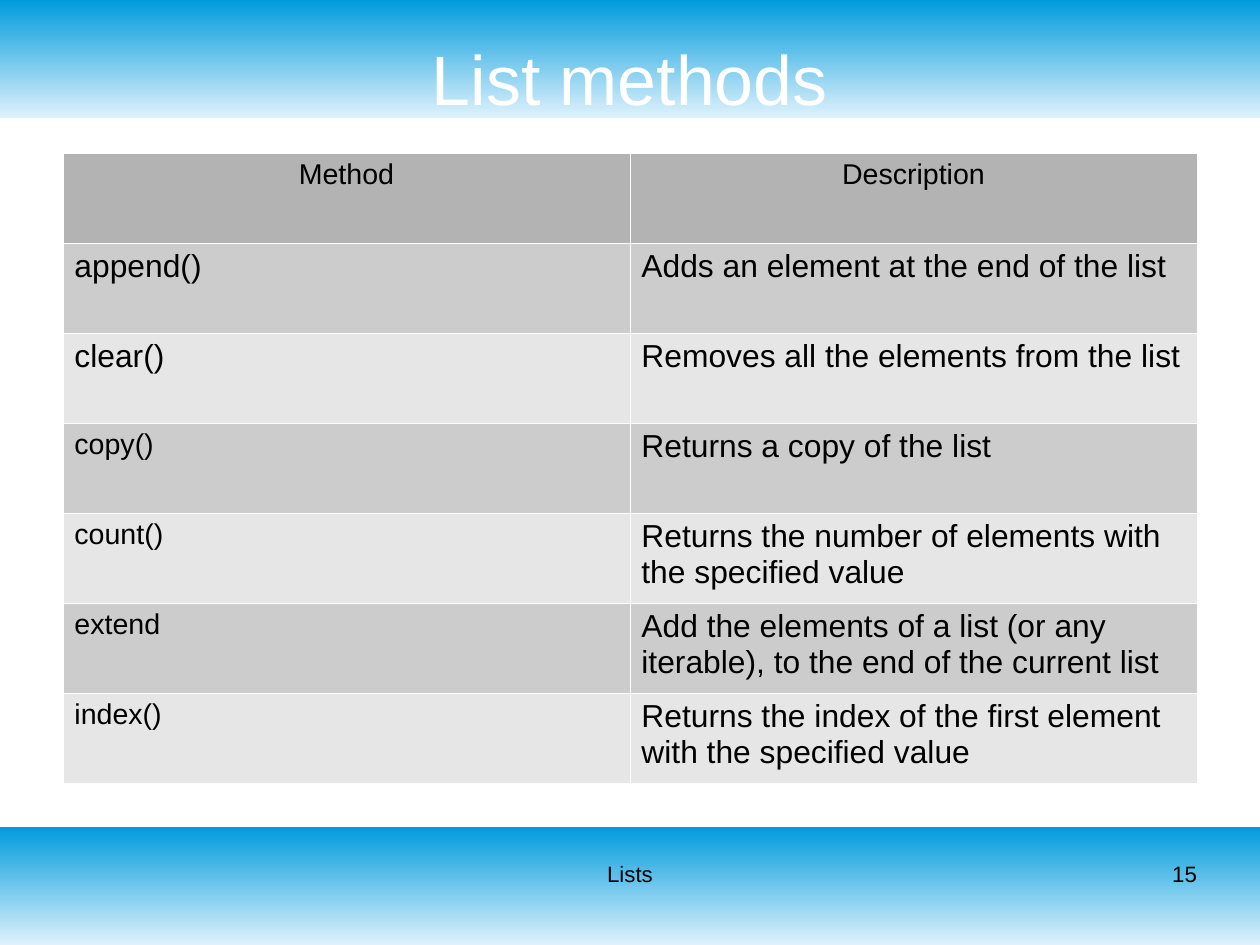
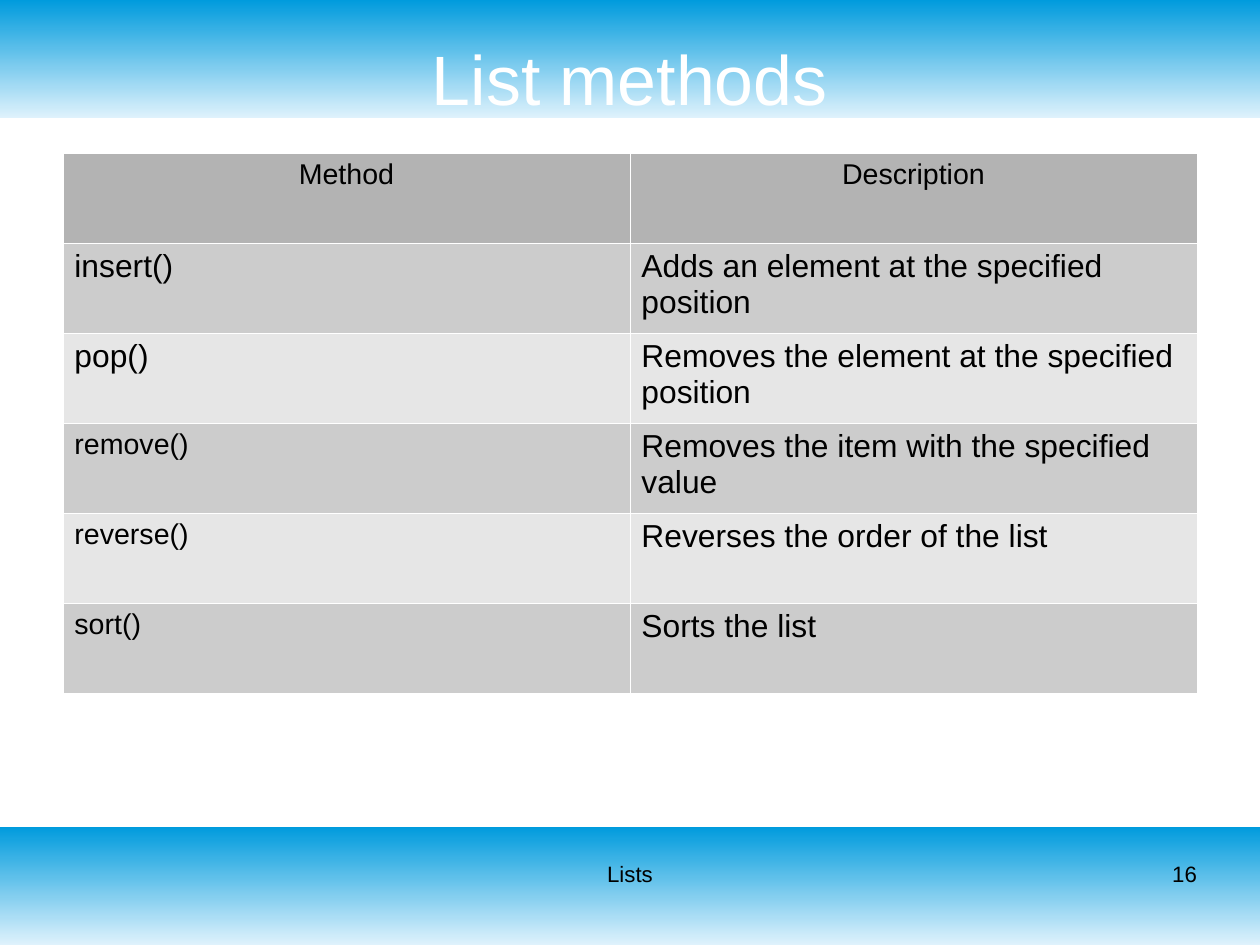
from dataclasses import dataclass

from lxml import etree
from pptx import Presentation
from pptx.dml.color import RGBColor
from pptx.enum.shapes import MSO_SHAPE
from pptx.enum.text import MSO_ANCHOR, MSO_AUTO_SIZE, PP_ALIGN
from pptx.oxml.ns import qn
from pptx.slide import Slide, SlideLayout
from pptx.table import _Cell
from pptx.text.text import TextFrame
from pptx.util import Cm, Inches, Pt

RECTANGLE = MSO_SHAPE.RECTANGLE
MIDDLE, TOP = MSO_ANCHOR.MIDDLE, MSO_ANCHOR.TOP
LEFT, CENTER, RIGHT = PP_ALIGN.LEFT, PP_ALIGN.CENTER, PP_ALIGN.RIGHT
FIT_SHAPE = MSO_AUTO_SIZE.SHAPE_TO_FIT_TEXT
TITLE_ONLY = 5

SLIDE_WIDTH, SLIDE_HEIGHT = Cm(28), Cm(21)
BAND_HEIGHT = SLIDE_HEIGHT // 8
MARGIN = SLIDE_WIDTH // 20
CONTENT_WIDTH = SLIDE_WIDTH - 2 * MARGIN
TITLE_TOP, TITLE_HEIGHT = Inches(0.33), Inches(0.7)
TABLE_TOP, ROW_HEIGHT = Inches(1.34), Cm(2)
FOOTER_TOP, FOOTER_HEIGHT = Inches(7.53), Inches(0.57)
FOOTER_WIDTH, NUMBER_WIDTH = Inches(3.49), Inches(2.57)


@dataclass(frozen=True)
class Theme:
    font: str = "Arial"
    title_size: int = 44
    body_size: int = 20
    small_size: int = 18
    footer_size: int = 14
    white: str = "FFFFFF"
    black: str = "000000"
    band_light: str = "DFF2FC"
    band_blue: str = "009BDD"
    header_fill: str = "B3B3B3"
    row_fills: tuple[str, str] = ("CCCCCC", "E6E6E6")
    border_width: float = 0.06


@dataclass(frozen=True)
class Method:
    name: str
    description: str


@dataclass(frozen=True)
class MethodSlide:
    number: int
    methods: tuple[Method, ...]


THEME = Theme()
TITLE, FOOTER = "List methods", "Lists"
HEADER = Method("Method", "Description")
LARGE_NAME_ROWS = 2

SLIDES = (
    MethodSlide(15, (
        Method("append()", "Adds an element at the end of the list"),
        Method("clear()", "Removes all the elements from the list"),
        Method("copy()", "Returns a copy of the list"),
        Method("count()", "Returns the number of elements with the specified value"),
        Method("extend", "Add the elements of a list (or any iterable), "
                         "to the end of the current list"),
        Method("index()", "Returns the index of the first element with the specified value"),
    )),
    MethodSlide(16, (
        Method("insert()", "Adds an element at the specified position"),
        Method("pop()", "Removes the element at the specified position"),
        Method("remove()", "Removes the item with the specified value"),
        Method("reverse()", "Reverses the order of the list"),
        Method("sort()", "Sorts the list"),
    )),
)


def write(text_frame: TextFrame, text: str, size: int, alignment: PP_ALIGN,
          color: str = THEME.black) -> None:
    text_frame.text = text
    text_frame.word_wrap = True
    paragraph = text_frame.paragraphs[0]
    paragraph.alignment = alignment
    for run in paragraph.runs:
        run.font.name = THEME.font
        run.font.size = Pt(size)
        run.font.bold = False
        run.font.color.rgb = RGBColor.from_string(color)


def remove_insets(text_frame: TextFrame) -> None:
    text_frame.margin_left = text_frame.margin_right = 0
    text_frame.margin_top = text_frame.margin_bottom = 0


def add_layout_bands(slide: Slide, layout: SlideLayout) -> None:
    """Draw both gradient bands and move them to the layout, behind its placeholders."""
    for top in (0, SLIDE_HEIGHT - BAND_HEIGHT):
        band = slide.shapes.add_shape(RECTANGLE, 0, top, SLIDE_WIDTH, BAND_HEIGHT)
        band.shadow.inherit = False
        band.line.fill.background()
        band.fill.gradient()
        band.fill.gradient_angle = 90
        for stop, color in zip(band.fill.gradient_stops,
                               (THEME.band_light, THEME.band_blue)):
            stop.color.rgb = RGBColor.from_string(color)
        layout.shapes.element.insert(2, band.element)


def add_title(slide: Slide) -> None:
    title = slide.shapes.title
    title.left, title.top = MARGIN, TITLE_TOP
    title.width, title.height = CONTENT_WIDTH, TITLE_HEIGHT
    text_frame = title.text_frame
    write(text_frame, TITLE, THEME.title_size, CENTER, THEME.white)
    remove_insets(text_frame)
    text_frame.vertical_anchor = MIDDLE
    text_frame.auto_size = FIT_SHAPE


def set_borders(cell: _Cell) -> None:
    properties = cell._tc.get_or_add_tcPr()
    for position, side in enumerate(("a:lnL", "a:lnR", "a:lnT", "a:lnB")):
        line = etree.Element(qn(side), w=str(Pt(THEME.border_width)))
        fill = etree.SubElement(line, qn("a:solidFill"))
        etree.SubElement(fill, qn("a:srgbClr"), val=THEME.white)
        properties.insert(position, line)


def format_cell(cell: _Cell, text: str, size: int, alignment: PP_ALIGN, fill: str) -> None:
    write(cell.text_frame, text, size, alignment)
    cell.vertical_anchor = TOP
    cell.fill.solid()
    cell.fill.fore_color.rgb = RGBColor.from_string(fill)
    set_borders(cell)


def add_method_table(slide: Slide, methods: tuple[Method, ...]) -> None:
    row_count = len(methods) + 1
    table = slide.shapes.add_table(row_count, 2, MARGIN, TABLE_TOP, CONTENT_WIDTH,
                                   row_count * ROW_HEIGHT).table
    table.first_row = table.horz_banding = False
    for column, text in enumerate((HEADER.name, HEADER.description)):
        format_cell(table.cell(0, column), text, THEME.small_size, CENTER, THEME.header_fill)
    for row, method in enumerate(methods, start=1):
        fill = THEME.row_fills[(row - 1) % 2]
        name_size = THEME.body_size if row <= LARGE_NAME_ROWS else THEME.small_size
        format_cell(table.cell(row, 0), method.name, name_size, LEFT, fill)
        format_cell(table.cell(row, 1), method.description, THEME.body_size, LEFT, fill)


def add_footer_text(slide: Slide, text: str, left: int, width: int,
                    alignment: PP_ALIGN) -> None:
    box = slide.shapes.add_textbox(left, FOOTER_TOP, width, FOOTER_HEIGHT)
    write(box.text_frame, text, THEME.footer_size, alignment)
    remove_insets(box.text_frame)


def main() -> None:
    presentation = Presentation()
    presentation.slide_width, presentation.slide_height = SLIDE_WIDTH, SLIDE_HEIGHT
    layout = presentation.slide_layouts[TITLE_ONLY]
    for index, content in enumerate(SLIDES):
        slide = presentation.slides.add_slide(layout)
        if index == 0:
            add_layout_bands(slide, layout)
        add_title(slide)
        add_method_table(slide, content.methods)
        add_footer_text(slide, FOOTER, (SLIDE_WIDTH - FOOTER_WIDTH) // 2,
                        FOOTER_WIDTH, CENTER)
        add_footer_text(slide, str(content.number), SLIDE_WIDTH - MARGIN - NUMBER_WIDTH,
                        NUMBER_WIDTH, RIGHT)
    presentation.save("out.pptx")


if __name__ == "__main__":
    main()
